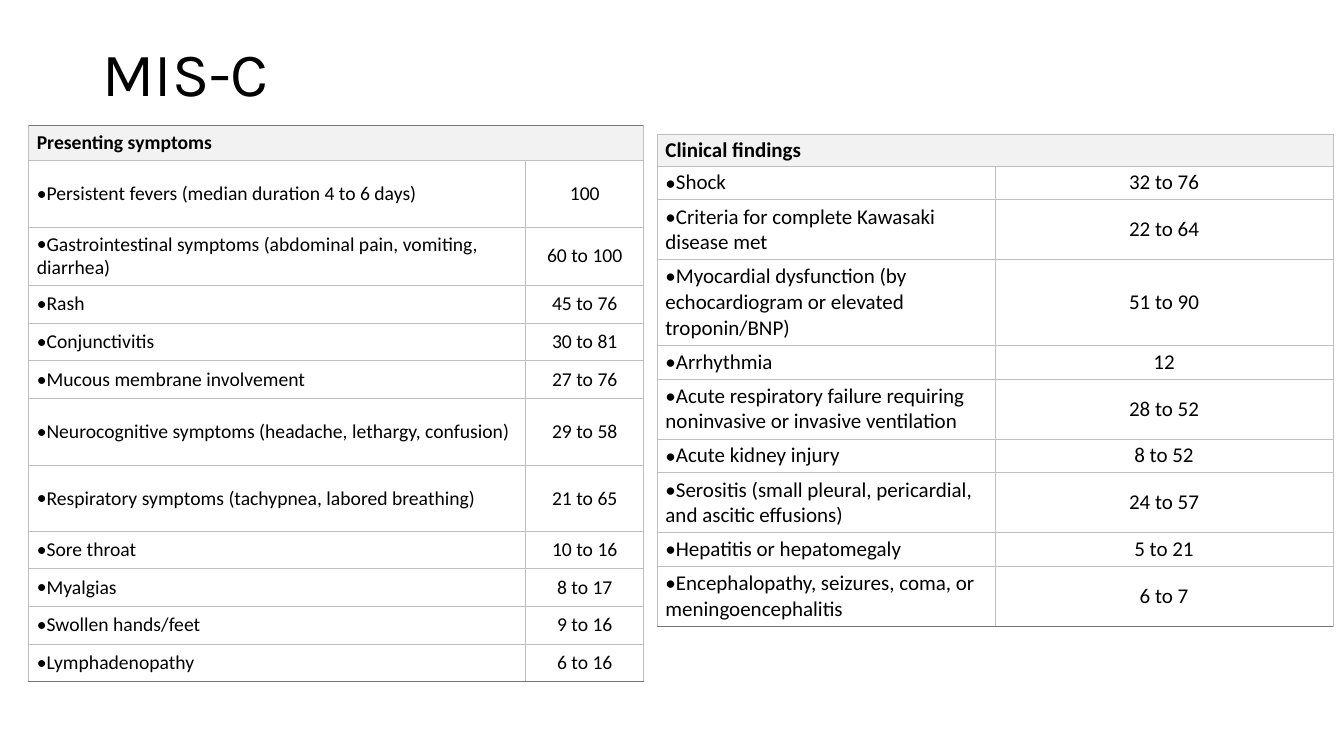
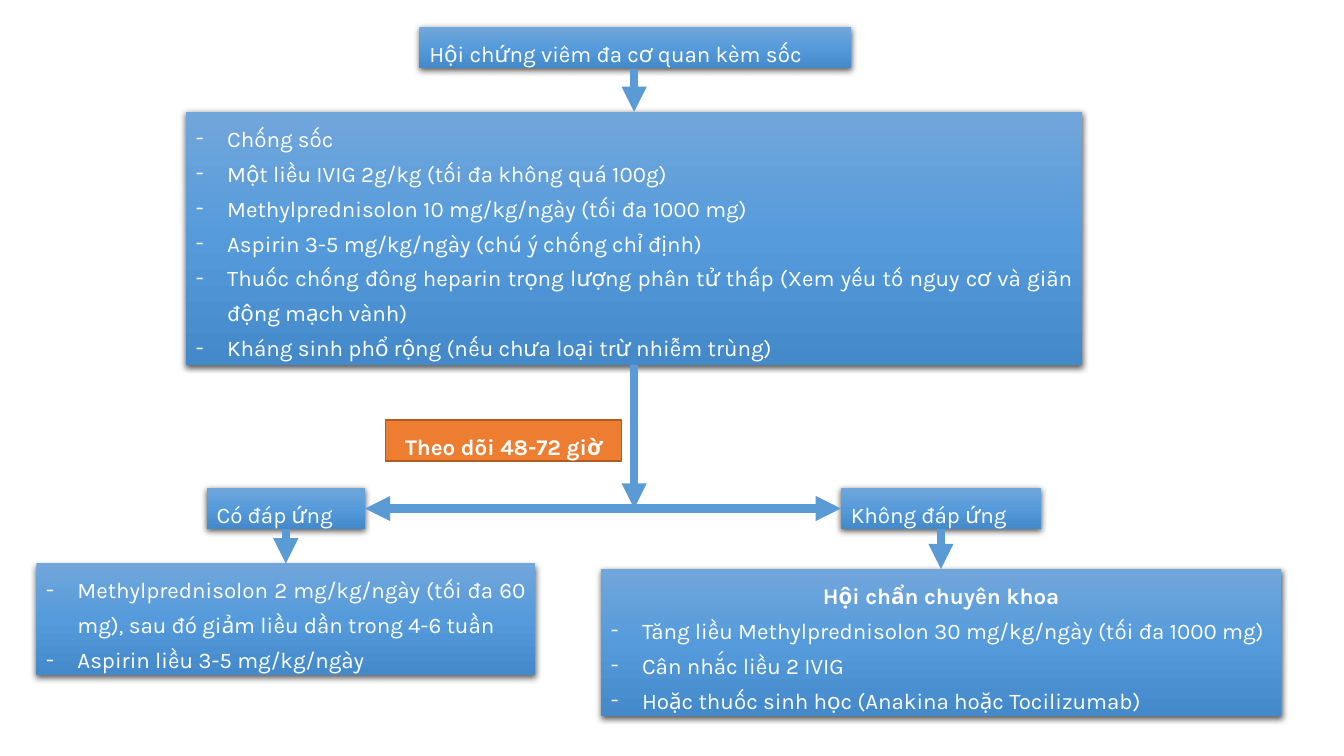
from typing import NamedTuple

from lxml import etree
from pptx import Presentation
from pptx.dml.color import RGBColor
from pptx.enum.shapes import MSO_CONNECTOR, MSO_SHAPE
from pptx.enum.text import MSO_ANCHOR, MSO_AUTO_SIZE, PP_ALIGN
from pptx.oxml.ns import qn
from pptx.util import Emu, Inches, Pt

RECT, STRAIGHT = MSO_SHAPE.RECTANGLE, MSO_CONNECTOR.STRAIGHT
LEFT, CENTER, JUSTIFY = PP_ALIGN.LEFT, PP_ALIGN.CENTER, PP_ALIGN.JUSTIFY
TOP, MIDDLE = MSO_ANCHOR.TOP, MSO_ANCHOR.MIDDLE
GROW = MSO_AUTO_SIZE.SHAPE_TO_FIT_TEXT

BLACK = RGBColor(0x00, 0x00, 0x00)
WHITE = RGBColor(0xFF, 0xFF, 0xFF)
HEADER_GREY = RGBColor(0xF2, 0xF2, 0xF2)
RULE_GREY = RGBColor(0xBF, 0xBF, 0xBF)
EDGE_GREY = RGBColor(0x75, 0x75, 0x75)
ARROW_BLUE = RGBColor(0x5B, 0x9B, 0xD5)
ORANGE = RGBColor(0xED, 0x7D, 0x31)
ORANGE_EDGE = RGBColor(0xAF, 0x5C, 0x24)
BOX_GRADIENT = (
    (0, RGBColor(0x71, 0xA6, 0xDB)),
    (50, RGBColor(0x55, 0x9B, 0xDB)),
    (100, RGBColor(0x44, 0x8A, 0xCA)),
)
TITLE_FONT, TABLE_FONT = "Karla", "Calibri"
BULLET_INDENT = Inches(0.31)
# Row heights of the findings table, by lines of text
ONE_LINE, TWO_LINES, THREE_LINES = 3.37, 5.95, 8.43


# Grid: ten columns and ten rows to the inch
def grid(n: float) -> Emu:
    return Inches(n / 10)


class Box(NamedTuple):
    left: float
    top: float
    width: float
    height: float

    @property
    def right(self) -> float:
        return self.left + self.width

    @property
    def bottom(self) -> float:
        return self.top + self.height

    @property
    def center(self) -> float:
        return self.left + self.width / 2

    @property
    def middle(self) -> float:
        return self.top + self.height / 2

    def place(self) -> list[Emu]:
        return [grid(n) for n in self]


class Row(NamedTuple):
    label: str
    value: str
    height: float


class TableSpec(NamedTuple):
    left: float
    top: float
    cols: tuple[float, float]
    size: int
    heading: str
    heading_height: float
    top_rule: RGBColor
    rows: tuple[Row, ...]


class Step(NamedTuple):
    box: Box
    heading: str = ""
    bullets: tuple[str, ...] = ()
    heading_align: PP_ALIGN = JUSTIFY
    bold: bool = False
    accent: bool = False


# Slide 1 content
SYMPTOMS = TableSpec(2.85, 12.45, (49.3, 11.7), 14, "Presenting symptoms", 3.5, EDGE_GREY, (
    Row("Persistent fevers (median duration 4 to 6 days)", "100", 6.6),
    Row("Gastrointestinal symptoms (abdominal pain, vomiting, diarrhea)", "60 to 100", 5.75),
    Row("Rash", "45 to 76", 3.75),
    Row("Conjunctivitis", "30 to 81", 3.75),
    Row("Mucous membrane involvement", "27 to 76", 3.75),
    Row("Neurocognitive symptoms (headache, lethargy, confusion)", "29 to 58", 6.6),
    Row("Respiratory symptoms (tachypnea, labored breathing)", "21 to 65", 6.6),
    Row("Sore throat", "10 to 16", 3.65),
    Row("Myalgias", "8 to 17", 3.75),
    Row("Swollen hands/feet", "9 to 16", 3.75),
    Row("Lymphadenopathy", "6 to 16", 3.75),
))
FINDINGS = TableSpec(65.2, 13.3, (33.5, 33.5), 15, "Clinical findings", 3, RULE_GREY, (
    Row("Shock", "32 to 76", ONE_LINE),
    Row("Criteria for complete Kawasaki disease met", "22 to 64", TWO_LINES),
    Row("Myocardial dysfunction (by echocardiogram or elevated troponin/BNP)",
        "51 to 90", THREE_LINES),
    Row("Arrhythmia", "12", ONE_LINE),
    Row("Acute respiratory failure requiring noninvasive or invasive ventilation",
        "28 to 52", TWO_LINES),
    Row("Acute kidney injury", "8 to 52", ONE_LINE),
    Row("Serositis (small pleural, pericardial, and ascitic effusions)", "24 to 57", TWO_LINES),
    Row("Hepatitis or hepatomegaly", "5 to 21", ONE_LINE),
    Row("Encephalopathy, seizures, coma, or meningoencephalitis", "6 to 7", TWO_LINES),
))

# Slide 2 content
SHOCK = Step(Box(41.6, 2.7, 42.85, 4.1), "Hội chứng viêm đa cơ quan kèm sốc")
TREATMENT = Step(Box(18.45, 11.1, 88.9, 25.1), bullets=(
    "Chống sốc",
    "Một liều IVIG 2g/kg (tối đa không quá 100g)",
    "Methylprednisolon 10 mg/kg/ngày (tối đa 1000 mg)",
    "Aspirin 3-5 mg/kg/ngày (chú ý chống chỉ định)",
    "Thuốc chống đông heparin trọng lượng phân tử thấp "
    "(Xem yếu tố nguy cơ và giãn động mạch vành)",
    "Kháng sinh phổ rộng (nếu chưa loại trừ nhiễm trùng)",
))
FOLLOW_UP = Step(Box(38.25, 41.65, 23.4, 4.1), "Theo dõi 48-72 giờ",
                 heading_align=CENTER, bold=True, accent=True)
RESPONSE = Step(Box(20.5, 48.4, 15.7, 4.1), "Có đáp ứng")
NO_RESPONSE = Step(Box(83.4, 48.4, 19.85, 4.1), "Không đáp ứng")
TAPER = Step(Box(3.6, 55.9, 49.5, 11.1), bullets=(
    "Methylprednisolon 2 mg/kg/ngày (tối đa 60 mg), sau đó giảm liều dần trong 4-6 tuần",
    "Aspirin liều 3-5 mg/kg/ngày",
))
CONSULT = Step(Box(59.6, 56.45, 67.5, 14.6), "Hội chẩn chuyên khoa", (
    "Tăng liều Methylprednisolon 30 mg/kg/ngày (tối đa 1000 mg)",
    "Cân nhắc liều 2 IVIG",
    "Hoặc thuốc sinh học (Anakina hoặc Tocilizumab)",
), heading_align=CENTER, bold=True)
STEPS = (SHOCK, TREATMENT, FOLLOW_UP, RESPONSE, NO_RESPONSE, TAPER, CONSULT)


# Text and XML helpers
def write(p, text: str, font: str, size: int, color: RGBColor, align: PP_ALIGN = LEFT,
          bold: bool = False, bullet: str = "", indent: int = 0) -> None:
    p.text = text
    p.alignment = align
    if bullet:
        pPr = p._p.get_or_add_pPr()
        pPr.set("marL", str(indent))
        pPr.set("indent", str(-indent))
        etree.SubElement(pPr, qn("a:buFont"), typeface=font)
        etree.SubElement(pPr, qn("a:buChar"), char=bullet)
    for r in p.runs:
        r.font.name, r.font.size, r.font.bold = font, Pt(size), bold
        r.font.color.rgb = color


def add_color(parent, color: RGBColor, alpha: int = 100) -> None:
    clr = etree.SubElement(parent, qn("a:srgbClr"), val=str(color))
    if alpha < 100:
        etree.SubElement(clr, qn("a:alpha"), val=str(alpha * 1000))


def set_borders(cell, top: RGBColor, bottom: RGBColor) -> None:
    tcPr = cell._tc.get_or_add_tcPr()
    for side, color in (("L", RULE_GREY), ("R", RULE_GREY), ("T", top), ("B", bottom)):
        ln = etree.SubElement(tcPr, qn(f"a:ln{side}"), w=str(Pt(0.5)))
        add_color(etree.SubElement(ln, qn("a:solidFill")), color)


def add_gradient_and_shadow(sp) -> None:
    sp.fill.gradient()
    sp.fill.gradient_angle = 270
    stops = sp._element.spPr.find(qn("a:gradFill")).find(qn("a:gsLst"))
    for stop in list(stops):
        stops.remove(stop)
    for share, color in BOX_GRADIENT:
        add_color(etree.SubElement(stops, qn("a:gs"), pos=str(share * 1000)), color)
    effects = sp._element.spPr.find(qn("a:effectLst"))
    shadow = etree.SubElement(effects, qn("a:outerShdw"), blurRad=str(Pt(4.5)),
                              dist=str(Pt(1.5)), dir="5400000", rotWithShape="0")
    add_color(shadow, BLACK, 63)


# Drawing
def draw_title(slide, text: str) -> None:
    tf = slide.shapes.add_textbox(*Box(9.2, 3.8, 115, 14.5).place()).text_frame
    tf.word_wrap = True
    write(tf.paragraphs[0], text, TITLE_FONT, 44, BLACK)
    tf.paragraphs[0].line_spacing = 0.9


def draw_table(slide, spec: TableSpec) -> None:
    heights = [spec.heading_height] + [row.height for row in spec.rows]
    box = Box(spec.left, spec.top, sum(spec.cols), sum(heights))
    table = slide.shapes.add_table(len(heights), len(spec.cols), *box.place()).table
    table.first_row = table.horz_banding = False
    for column, width in zip(table.columns, spec.cols):
        column.width = grid(width)
    for i, height in enumerate(heights):
        table.rows[i].height = grid(height)
        for j in range(len(spec.cols)):
            cell = table.cell(i, j)
            set_borders(cell, RULE_GREY if i else spec.top_rule,
                        EDGE_GREY if i == len(spec.rows) else RULE_GREY)
            cell.fill.solid()
            cell.fill.fore_color.rgb = WHITE if i else HEADER_GREY
            cell.vertical_anchor = MIDDLE
            cell.margin_left = cell.margin_right = Inches(0.08)
            cell.margin_top = cell.margin_bottom = Inches(0.04 if i else 0.03)
            p = cell.text_frame.paragraphs[0]
            if i:
                write(p, spec.rows[i - 1][j], TABLE_FONT, spec.size, BLACK,
                      align=CENTER if j else LEFT, bullet="" if j else "•")
            else:
                write(p, "" if j else spec.heading, TABLE_FONT, spec.size, BLACK, bold=True)
    table.cell(0, 0).merge(table.cell(0, 1))


def draw_step(slide, step: Step) -> None:
    sp = slide.shapes.add_shape(RECT, *step.box.place())
    sp.shadow.inherit = False
    if step.accent:
        sp.fill.solid()
        sp.fill.fore_color.rgb = ORANGE
        sp.line.color.rgb = ORANGE_EDGE
        sp.line.width = Pt(1)
    else:
        add_gradient_and_shadow(sp)
        sp.line.fill.background()
    tf = sp.text_frame
    tf.word_wrap, tf.auto_size, tf.vertical_anchor = True, GROW, TOP
    headings = (step.heading,) if step.heading else ()
    for i, text in enumerate(headings + step.bullets):
        p = tf.add_paragraph() if i else tf.paragraphs[0]
        p.line_spacing = 1.3
        if i < len(headings):
            write(p, text, TITLE_FONT, 16, WHITE, step.heading_align, step.bold)
        else:
            write(p, text, TITLE_FONT, 16, WHITE, JUSTIFY, bullet="-", indent=BULLET_INDENT)


def draw_arrow(slide, x1: float, y1: float, x2: float, y2: float,
               both_ends: bool = False) -> None:
    line = slide.shapes.add_connector(STRAIGHT, *(grid(n) for n in (x1, y1, x2, y2)))
    line.line.color.rgb = ARROW_BLUE
    line.line.width = Pt(6)
    spPr = line._element.spPr
    ln = spPr.find(qn("a:ln"))
    for end in ("headEnd", "tailEnd") if both_ends else ("tailEnd",):
        etree.SubElement(ln, qn(f"a:{end}"), type="triangle")
    etree.SubElement(spPr, qn("a:effectLst"))


def draw_flow(slide) -> None:
    for step in STEPS:
        draw_step(slide, step)
    axis, branch = TREATMENT.box.center, RESPONSE.box.middle
    draw_arrow(slide, axis, SHOCK.box.bottom, axis, TREATMENT.box.top)
    draw_arrow(slide, axis, TREATMENT.box.bottom, axis, branch)
    draw_arrow(slide, RESPONSE.box.right, branch, NO_RESPONSE.box.left, branch, both_ends=True)
    for upper, lower in ((RESPONSE.box, TAPER.box), (NO_RESPONSE.box, CONSULT.box)):
        draw_arrow(slide, upper.center, upper.bottom, upper.center, lower.top)


def main() -> None:
    prs = Presentation()
    prs.slide_width, prs.slide_height = Inches(13.33), Inches(7.5)
    blank = prs.slide_layouts[6]

    # Symptoms and findings
    slide = prs.slides.add_slide(blank)
    for spec in (SYMPTOMS, FINDINGS):
        draw_table(slide, spec)
    draw_title(slide, "MIS-C")

    # Treatment flow
    draw_flow(prs.slides.add_slide(blank))
    prs.save("out.pptx")


if __name__ == "__main__":
    main()
